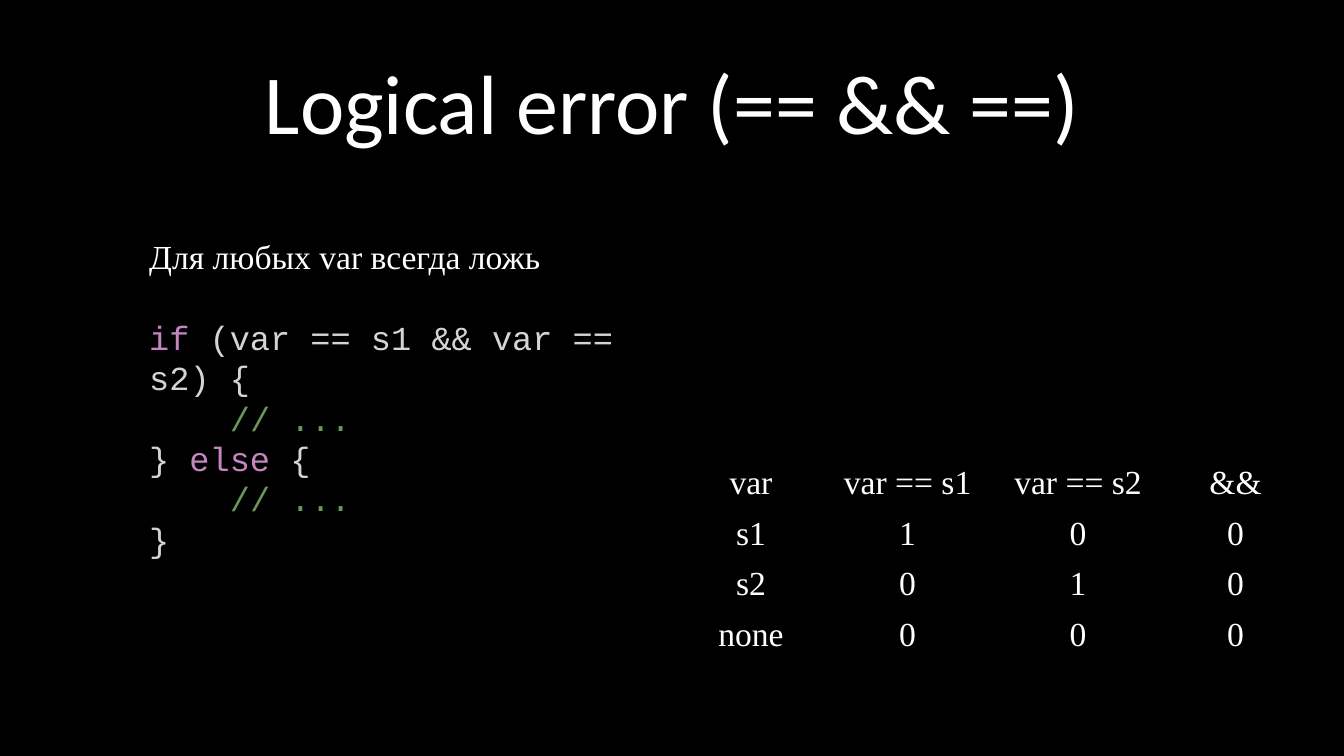
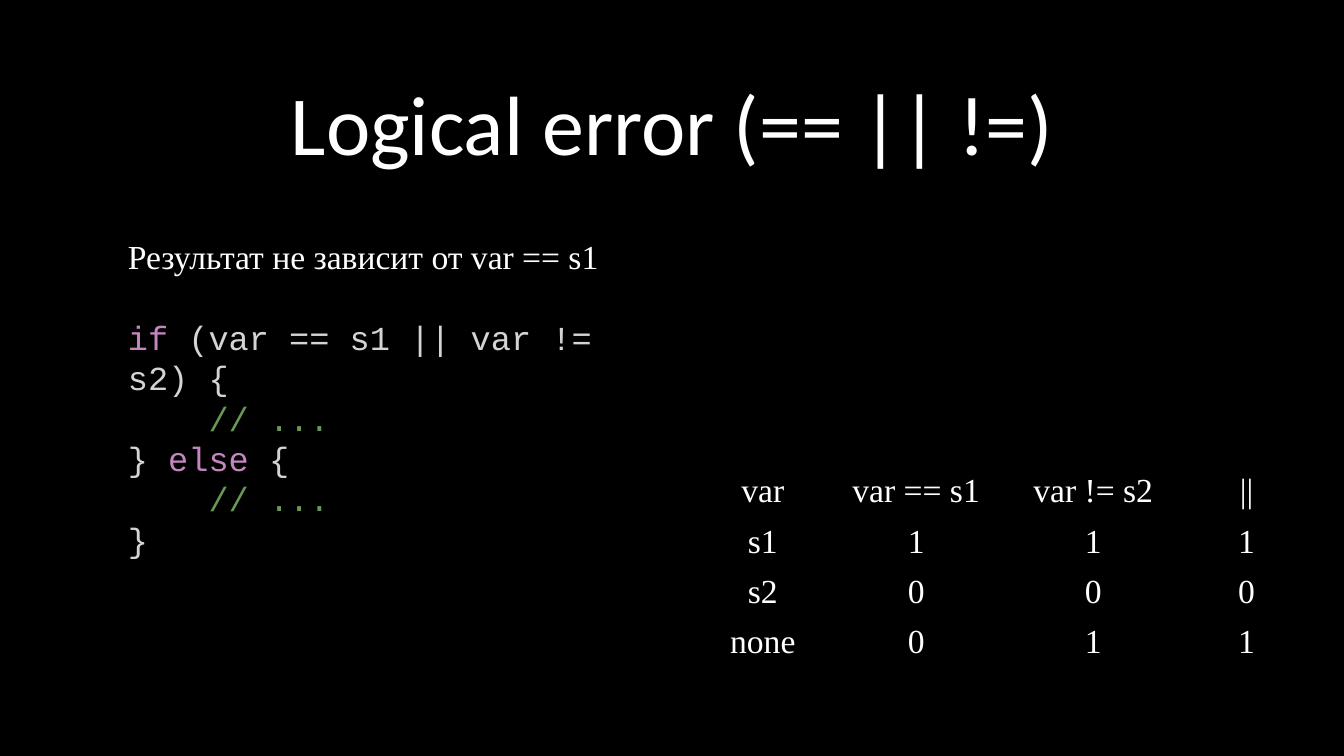
"""Build two slides on logical errors, each with a code sample and its truth table."""
from dataclasses import dataclass

from pptx import Presentation
from pptx.dml.color import RGBColor
from pptx.enum import text
from pptx.util import Pt


@dataclass(frozen=True)
class Theme:
    back: str = "000000"
    white: str = "FFFFFF"
    plain: str = "D4D4D4"
    keyword: str = "C586C0"
    comment: str = "6A9955"
    title_font: str = "Calibri"
    body_font: str = "Times New Roman"
    code_font: str = "Courier New"
    title_size: int = 60
    body_size: int = 24
    blank_line: int = 29


THEME = Theme()
NO_GRID_STYLE = "{2D5ABB26-0587-4C30-8999-92F81FD0307C}"
ROW_HEIGHTS = (34.8, 34.8, 34.8, 52.5)

CODE_TAIL = [
    [("    // ...", THEME.comment)],
    [("} ", THEME.plain), ("else", THEME.keyword), (" {", THEME.plain)],
    [("    // ...", THEME.comment)],
    [("}", THEME.plain)],
]

SLIDES = [
    {
        "title": "Logical error (== && ==)",
        "title_top": 21,
        "note": "Для любых var всегда ложь",
        "condition": "var == s1 && var == s2",
        "code_left": 99.5,
        "table_at": (486, 328.5),
        "columns": (100.8, 123, 120.5, 104.5),
        "rows": [
            ("var", "var == s1", "var == s2", "&&"),
            ("s1", "1", "0", "0"),
            ("s2", "0", "1", "0"),
            ("none", "0", "0", "0"),
        ],
    },
    {
        "title": "Logical error (== || !=)",
        "title_top": 36,
        "note": "Результат не зависит от var == s1",
        "condition": "var == s1 || var != s2",
        "code_left": 84.3,
        "table_at": (495.5, 334),
        "columns": (98.7, 120.5, 132.5, 86.5),
        "rows": [
            ("var", "var == s1", "var != s2", "||"),
            ("s1", "1", "1", "1"),
            ("s2", "0", "0", "0"),
            ("none", "0", "1", "1"),
        ],
    },
]


def style(font, name, size, color=THEME.white):
    font.name, font.size = name, Pt(size)
    font.color.rgb = RGBColor.from_string(color)


def add_box(s, left, top, width, height):
    tf = s.shapes.add_textbox(Pt(left), Pt(top), Pt(width), Pt(height)).text_frame
    tf.word_wrap = True
    return tf


def add_title(s, title, top):
    tf = add_box(s, 125, top, 710, 91.5)
    tf.vertical_anchor = text.MSO_ANCHOR.BOTTOM
    p = tf.paragraphs[0]
    p.text, p.alignment, p.line_spacing = title, text.PP_ALIGN.CENTER, 0.9
    style(p.font, THEME.title_font, THEME.title_size)


def add_code(s, note, condition, left):
    tf = add_box(s, left, 165, 402, 211)
    tf.auto_size = text.MSO_AUTO_SIZE.SHAPE_TO_FIT_TEXT
    p = tf.paragraphs[0]
    p.text = note
    style(p.font, THEME.body_font, THEME.body_size)
    head = [("if", THEME.keyword), (f" ({condition}) {{", THEME.plain)]
    for i, line in enumerate([head, *CODE_TAIL]):
        p = tf.add_paragraph()
        p.space_before = Pt(0 if i else THEME.blank_line)
        for token, color in line:
            r = p.add_run()
            r.text = token
            style(r.font, THEME.code_font, THEME.body_size, color)


def add_truth_table(s, rows, columns, at):
    left, top = at
    table = s.shapes.add_table(len(rows), len(columns), Pt(left), Pt(top),
                               Pt(sum(columns)), Pt(sum(ROW_HEIGHTS))).table
    table.first_row = table.horz_banding = False
    table._tbl.tblPr[0].text = NO_GRID_STYLE
    for column, width in zip(table.columns, columns):
        column.width = Pt(width)
    for row, height, values in zip(table.rows, ROW_HEIGHTS, rows):
        row.height = Pt(height)
        for cell, value in zip(row.cells, values):
            cell.fill.background()
            p = cell.text_frame.paragraphs[0]
            p.text, p.alignment = value, text.PP_ALIGN.CENTER
            style(p.font, THEME.body_font, THEME.body_size)


def main():
    prs = Presentation()
    prs.slide_width, prs.slide_height = Pt(960), Pt(540)
    fill = prs.slide_master.background.fill
    fill.solid()
    fill.fore_color.rgb = RGBColor.from_string(THEME.back)
    for data in SLIDES:
        s = prs.slides.add_slide(prs.slide_layouts[6])
        add_title(s, data["title"], data["title_top"])
        add_code(s, data["note"], data["condition"], data["code_left"])
        add_truth_table(s, data["rows"], data["columns"], data["table_at"])
    prs.save("out.pptx")


if __name__ == "__main__":
    main()
